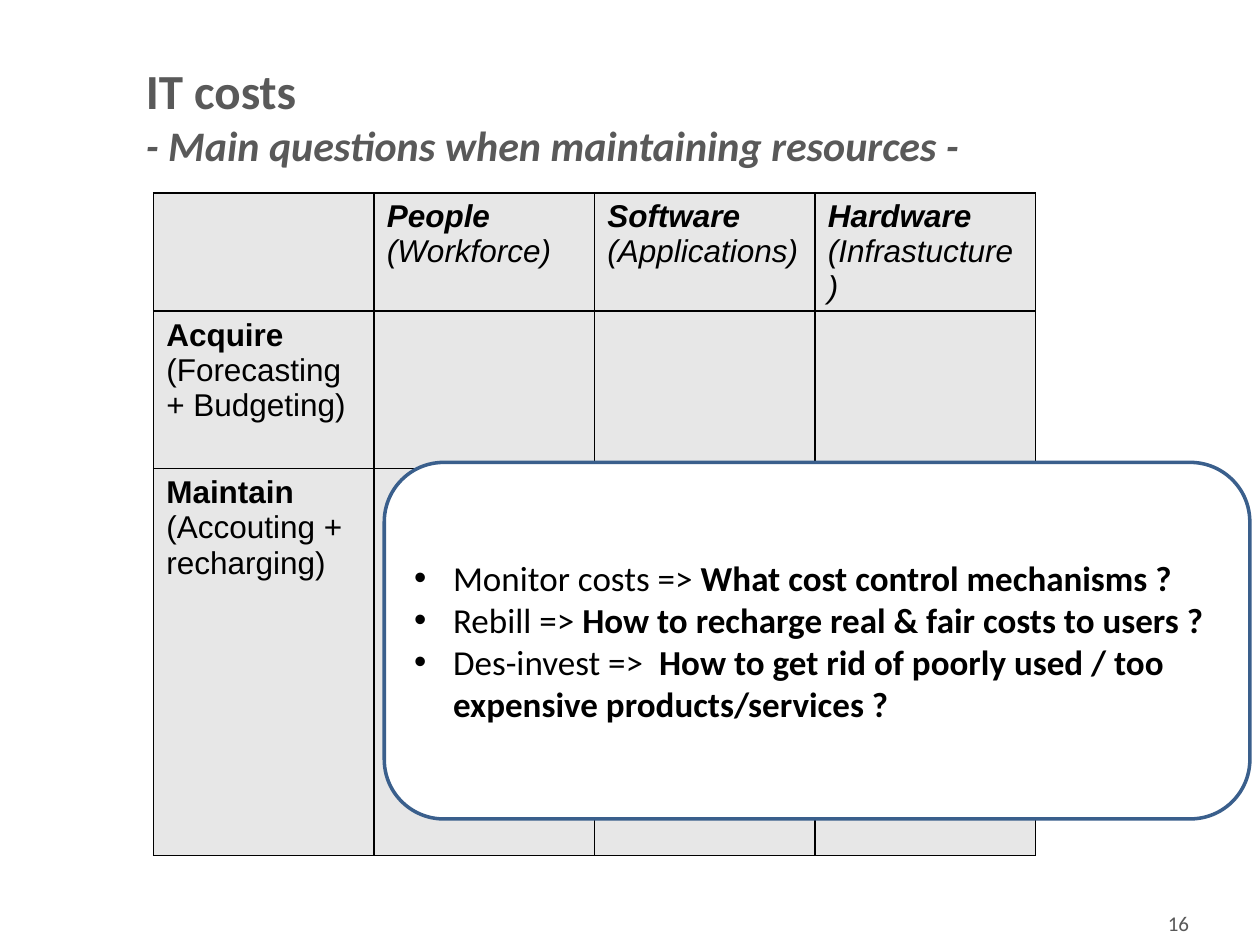
from lxml.etree import SubElement
from pptx import Presentation
from pptx.dml.color import RGBColor
from pptx.enum.shapes import MSO_SHAPE
from pptx.enum.text import MSO_ANCHOR, PP_ALIGN
from pptx.oxml.ns import qn
from pptx.util import Inches, Pt

COLORS = {
    "text": "000000",
    "title": "595959",
    "cell": "E7E7E7",
    "callout": "FFFFFF",
    "callout_line": "3A5F8C",
}
COLUMN_WIDTH = 1.75
ROW_HEIGHTS = [0.94, 1.25, 3.07]
# (row, column, italic, paragraphs); each paragraph holds (text, bold) runs
LABELS = [
    (0, 1, True, [[("People", True)], [("(Workforce)", False)]]),
    (0, 2, True, [[("Software ", True), ("(Applications)", False)]]),
    (0, 3, True, [[("Hardware", True)], [("(Infrastucture)", False)]]),
    (1, 0, False, [[("Acquire", True)], [("(Forecasting + Budgeting)", False)]]),
    (2, 0, False, [[("Maintain", True)], [("(Accouting + recharging)", False)]]),
]
QUESTIONS = [
    ("Monitor costs => ", "What cost control mechanisms ?"),
    ("Rebill => ", "How to recharge real & fair costs to users ?"),
    ("Des-invest =>  ",
     "How to get rid of poorly used / too expensive products/services ?"),
]


def color(name):
    return RGBColor.from_string(COLORS[name])


def add_text(paragraph, text, size=18, font="Calibri", fill="text",
             bold=False, italic=False):
    run = paragraph.add_run()
    run.text = text
    run.font.size = Pt(size)
    run.font.name = font
    run.font.color.rgb = color(fill)
    run.font.bold = bold
    run.font.italic = italic


def next_paragraph(frame, index):
    """Return the frame's first paragraph for index 0, else a new one."""
    return frame.add_paragraph() if index else frame.paragraphs[0]


def add_text_box(slide, left, top, width, height):
    frame = slide.shapes.add_textbox(
        Inches(left), Inches(top), Inches(width), Inches(height)).text_frame
    frame.word_wrap = True
    frame.vertical_anchor = MSO_ANCHOR.MIDDLE
    return frame.paragraphs[0]


def add_borders(cell):
    properties = cell._tc.get_or_add_tcPr()
    for position, side in enumerate(("lnL", "lnR", "lnT", "lnB")):
        border = properties.makeelement(qn(f"a:{side}"), {"w": str(Pt(1))})
        fill = SubElement(border, qn("a:solidFill"))
        SubElement(fill, qn("a:srgbClr"), val=COLORS["text"])
        properties.insert(position, border)


def add_cost_table(slide):
    table = slide.shapes.add_table(
        3, 4, Inches(1.22), Inches(1.53),
        Inches(4 * COLUMN_WIDTH), Inches(sum(ROW_HEIGHTS))).table
    for column in table.columns:
        column.width = Inches(COLUMN_WIDTH)
    for row, height in zip(table.rows, ROW_HEIGHTS):
        row.height = Inches(height)
    for cell in table.iter_cells():
        cell.fill.solid()
        cell.fill.fore_color.rgb = color("cell")
        add_borders(cell)
    for row, column, italic, paragraphs in LABELS:
        frame = table.cell(row, column).text_frame
        for index, runs in enumerate(paragraphs):
            paragraph = next_paragraph(frame, index)
            for text, bold in runs:
                add_text(paragraph, text, font="Arial", bold=bold, italic=italic)


def add_bullet(paragraph):
    properties = paragraph._p.get_or_add_pPr()
    properties.set("marL", str(Inches(0.31)))
    properties.set("indent", str(Inches(-0.31)))
    SubElement(properties, qn("a:buFont"), typeface="Arial")
    SubElement(properties, qn("a:buChar"), char="•")


def add_questions(slide):
    callout = slide.shapes.add_shape(
        MSO_SHAPE.ROUNDED_RECTANGLE,
        Inches(3.05), Inches(3.67), Inches(6.87), Inches(2.83))
    callout.shadow.inherit = False
    callout.fill.solid()
    callout.fill.fore_color.rgb = color("callout")
    callout.line.color.rgb = color("callout_line")
    callout.line.width = Pt(2)
    frame = callout.text_frame
    frame.word_wrap = True
    frame.vertical_anchor = MSO_ANCHOR.MIDDLE
    for index, (topic, question) in enumerate(QUESTIONS):
        paragraph = next_paragraph(frame, index)
        paragraph.alignment = PP_ALIGN.LEFT
        add_bullet(paragraph)
        add_text(paragraph, topic, size=20)
        add_text(paragraph, question, size=20, bold=True)


def add_title(slide):
    title = add_text_box(slide, 1.06, 0.6, 10, 0.63)
    add_text(title, "IT costs", size=28, fill="title", bold=True)
    title.add_line_break()
    add_text(title, "- Main questions when maintaining resources -",
             size=24, fill="title", bold=True, italic=True)


def main():
    presentation = Presentation()
    presentation.slide_width = Inches(10)
    presentation.slide_height = Inches(7.5)
    slide = presentation.slides.add_slide(presentation.slide_layouts[6])
    add_cost_table(slide)
    page_number = add_text_box(slide, 9.17, 7.22, 0.75, 0.21)
    add_text(page_number, "16", size=12, fill="title")
    add_questions(slide)
    add_title(slide)
    presentation.save("out.pptx")


if __name__ == "__main__":
    main()
